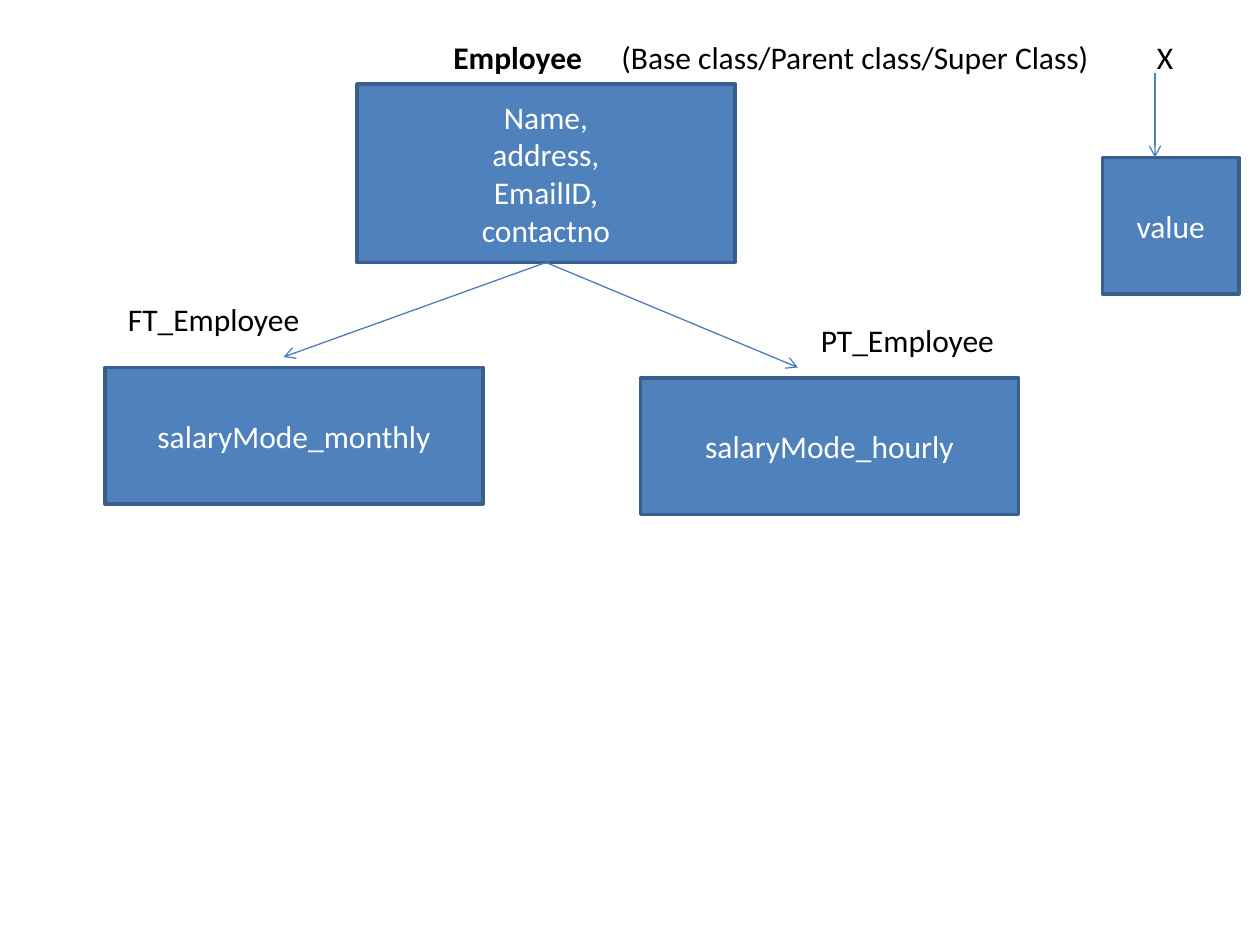
from dataclasses import dataclass

from lxml import etree
from pptx import Presentation
from pptx.dml.color import RGBColor
from pptx.enum.shapes import MSO_CONNECTOR, MSO_SHAPE
from pptx.enum.text import MSO_ANCHOR, MSO_AUTO_SIZE, PP_ALIGN
from pptx.oxml.ns import qn
from pptx.util import Emu, Inches, Pt

RECT = MSO_SHAPE.RECTANGLE
LINE = MSO_CONNECTOR.STRAIGHT
MIDDLE = MSO_ANCHOR.MIDDLE
CENTER = PP_ALIGN.CENTER
GROW = MSO_AUTO_SIZE.SHAPE_TO_FIT_TEXT
BOTTOM = 2

COLORS = {"fill": "4F81BD", "edge": "3A5F8C", "arrow": "4B7EBC",
          "light": "FFFFFF", "dark": "000000"}
FONT, SIZE = "Calibri", 18

# Grid of 120 columns by 90 rows
COLS, ROWS = 120, 90
WIDTH, HEIGHT = Inches(10), Inches(7.5)


@dataclass
class Box:
    col: float
    row: float
    cols: float
    rows: float
    lines: tuple[str, ...]


@dataclass
class Label:
    col: float
    row: float
    cols: float
    text: str
    bold: bool = False


@dataclass
class Arrow:
    start: tuple[float, float]
    end: tuple[float, float]
    source: int | None = None


BOXES = [
    Box(34, 8, 36, 17, ("Name,", "address,", "EmailID,", "contactno")),
    Box(10, 35, 36, 13, ("salaryMode_monthly",)),
    Box(61, 36, 36, 13, ("salaryMode_hourly",)),
    Box(105, 15, 13, 13, ("value",)),
]
LABELS = [
    Label(42, 3, 14.8, "Employee", True),
    Label(58, 3, 47.4, "(Base class/Parent class/Super Class)"),
    Label(11, 28, 19, "FT_Employee"),
    Label(77, 30, 19, "PT_Employee"),
    Label(109, 3, 4, "X"),
]
ARROWS = [
    Arrow((52, 25), (27, 34), 0),
    Arrow((52, 25), (76, 35), 0),
    Arrow((110, 7), (110, 15)),
]


def across(col: float) -> Emu:
    return Emu(round(WIDTH * col / COLS))


def down(row: float) -> Emu:
    return Emu(round(HEIGHT * row / ROWS))


def color(name: str) -> RGBColor:
    return RGBColor.from_string(COLORS[name])


def style(par, name: str, bold: bool = False) -> None:
    font = par.font
    font.name, font.size, font.bold = FONT, Pt(SIZE), bold
    font.color.rgb = color(name)


def draw_box(slide, box: Box):
    shape = slide.shapes.add_shape(RECT, across(box.col), down(box.row),
                                   across(box.cols), down(box.rows))
    shape.shadow.inherit = False
    shape.fill.solid()
    shape.fill.fore_color.rgb = color("fill")
    shape.line.color.rgb = color("edge")
    shape.line.width = Pt(2)
    frame = shape.text_frame
    frame.vertical_anchor = MIDDLE
    frame.text = "\n".join(box.lines)
    for par in frame.paragraphs:
        par.alignment = CENTER
        style(par, "light")
    return shape


def draw_label(slide, label: Label) -> None:
    shape = slide.shapes.add_textbox(across(label.col), down(label.row),
                                     across(label.cols), down(4.8))
    frame = shape.text_frame
    frame.word_wrap = False
    frame.auto_size = GROW
    frame.text = label.text
    style(frame.paragraphs[0], "dark", label.bold)


def draw_arrow(slide, arrow: Arrow, shapes: list) -> None:
    (left, top), (right, low) = arrow.start, arrow.end
    link = slide.shapes.add_connector(LINE, across(left), down(top),
                                      across(right), down(low))
    if arrow.source is not None:
        link.begin_connect(shapes[arrow.source], BOTTOM)
    link.line.color.rgb = color("arrow")
    link.line.width = Pt(0.75)
    stroke = link.line._get_or_add_ln()
    etree.SubElement(stroke, qn("a:tailEnd"), type="arrow")
    etree.SubElement(stroke.getparent(), qn("a:effectLst"))


def main() -> None:
    deck = Presentation()
    deck.slide_width, deck.slide_height = WIDTH, HEIGHT
    slide = deck.slides.add_slide(deck.slide_layouts[6])

    # Class boxes, their names, and the links between them
    shapes = [draw_box(slide, box) for box in BOXES]
    for label in LABELS:
        draw_label(slide, label)
    for arrow in ARROWS:
        draw_arrow(slide, arrow, shapes)

    deck.save("out.pptx")


if __name__ == "__main__":
    main()
